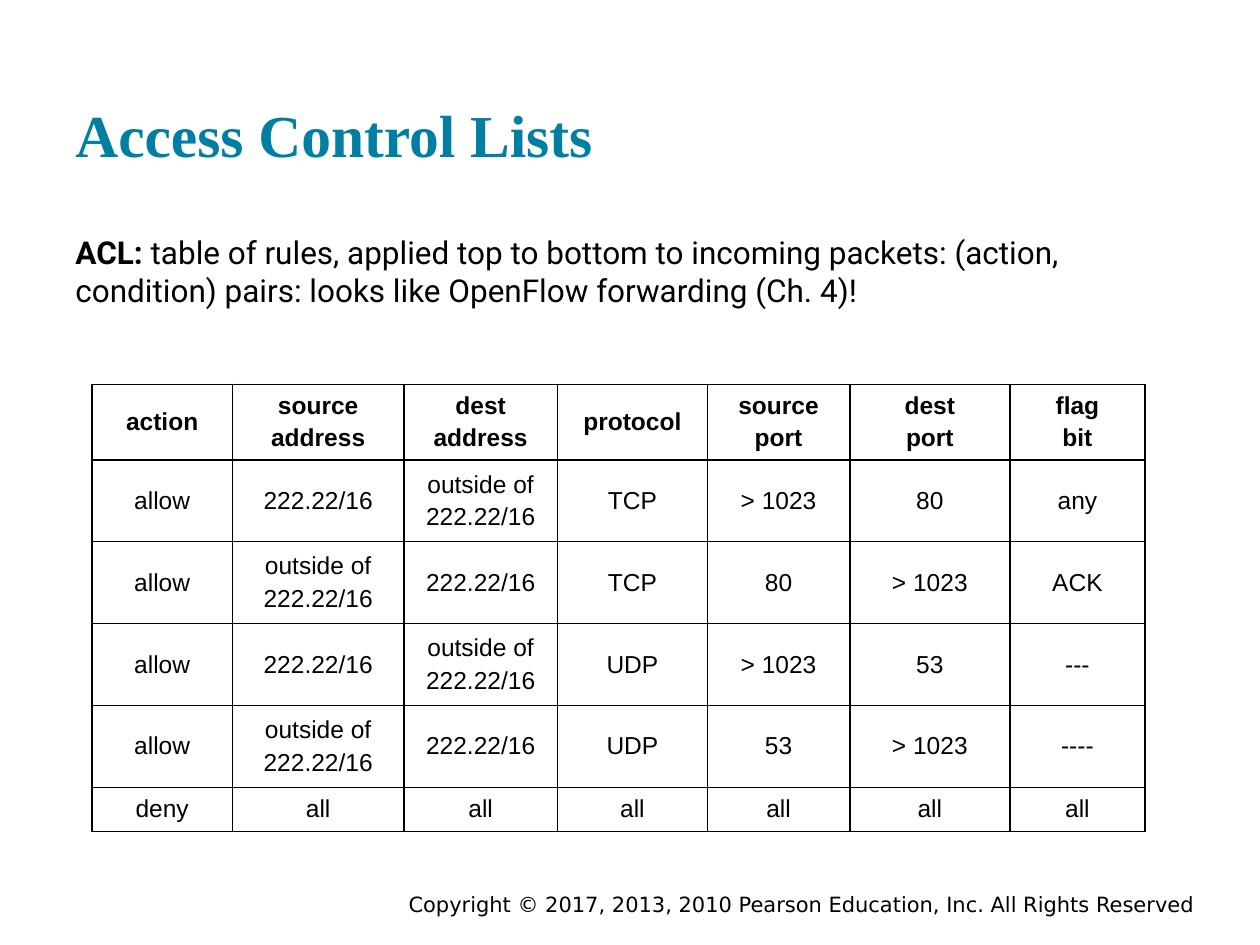
import pptx
import pptx.dml.color
import pptx.enum.text
import pptx.oxml
import pptx.oxml.ns
import pptx.util

Cm = pptx.util.Cm
Pt = pptx.util.Pt
ALIGN = pptx.enum.text.PP_ALIGN
ANCHOR = pptx.enum.text.MSO_ANCHOR

COLORS = {"title": "007FA3", "text": "000000", "line": "000000"}

WIDTHS = [2.84, 3.45, 3.1, 3.02, 2.87, 3.23, 2.72]
HEIGHTS = [1.52] + [1.65] * 4 + [0.89]
INSIDE = "222.22/16"
OUTSIDE = "outside of\n222.22/16"
RULES = [
    ["action", "source\naddress", "dest\naddress", "protocol",
     "source\nport", "dest\nport", "flag\nbit"],
    ["allow", INSIDE, OUTSIDE, "TCP", "> 1023", "80", "any"],
    ["allow", OUTSIDE, INSIDE, "TCP", "80", "> 1023", "ACK"],
    ["allow", INSIDE, OUTSIDE, "UDP", "> 1023", "53", "---"],
    ["allow", OUTSIDE, INSIDE, "UDP", "53", "> 1023", "----"],
    ["deny"] + ["all"] * 6,
]


def add_run(para, text, font, size, color="text", bold=False):
    run = para.add_run()
    run.text = text
    run.font.name = font
    run.font.size = Pt(size)
    run.font.bold = bold
    run.font.color.rgb = pptx.dml.color.RGBColor.from_string(COLORS[color])


def set_frame(shape, box, anchor, pad):
    """Place a text shape and return its first paragraph."""
    shape.left, shape.top, shape.width, shape.height = map(Cm, box)
    frame = shape.text_frame
    frame.word_wrap = True
    frame.auto_size = pptx.enum.text.MSO_AUTO_SIZE.NONE
    frame.vertical_anchor = anchor
    frame.margin_left = frame.margin_right = Cm(0.25)
    frame.margin_top = frame.margin_bottom = Cm(pad)
    para = frame.paragraphs[0]
    para.space_before = Pt(0)
    return para


def fill_title(slide):
    para = set_frame(slide.shapes.title, (1.27, 0.61, 22.86, 3.05),
                     ANCHOR.BOTTOM, 0.25)
    para.alignment = ALIGN.LEFT
    add_run(para, "Access Control Lists", "Times New Roman", 34, "title", True)


def fill_body(slide):
    para = set_frame(slide.placeholders[1], (1.27, 4.45, 22.86, 2.06),
                     ANCHOR.TOP, 0.25)
    # Plain paragraph: no bullet, no hanging indent
    props = para._p.get_or_add_pPr()
    props.set("marL", "0")
    props.set("indent", "0")
    props.append(pptx.oxml.parse_xml(
        f"<a:buNone {pptx.oxml.ns.nsdecls('a')}/>"))
    add_run(para, "ACL: ", "Roboto", 18, bold=True)
    add_run(para, "table of rules, applied top to bottom to incoming packets: "
            "(action, condition) pairs: looks like OpenFlow forwarding "
            "(Ch. 4)!", "Roboto", 18)


def add_lines(cell):
    props = cell._tc.get_or_add_tcPr()
    for side in ("lnL", "lnR", "lnT", "lnB"):
        props.append(pptx.oxml.parse_xml(
            f"<a:{side} {pptx.oxml.ns.nsdecls('a')} w='{Pt(1)}'><a:solidFill>"
            f"<a:srgbClr val='{COLORS['line']}'/></a:solidFill></a:{side}>"))


def fill_cell(cell, text, bold):
    add_lines(cell)
    cell.fill.background()
    cell.vertical_anchor = ANCHOR.MIDDLE
    frame = cell.text_frame
    for i, line in enumerate(text.split("\n")):
        para = frame.add_paragraph() if i else frame.paragraphs[0]
        para.alignment = ALIGN.CENTER
        para.space_before = Pt(2.8 if i else 0)
        add_run(para, line, "Arial", 14, bold=bold)


def add_rules(slide):
    table = slide.shapes.add_table(
        len(RULES), len(WIDTHS), Cm(1.85), Cm(7.75),
        Cm(sum(WIDTHS)), Cm(sum(HEIGHTS))).table
    table.horz_banding = False
    for col, width in zip(table.columns, WIDTHS):
        col.width = Cm(width)
    for r, (row, height) in enumerate(zip(table.rows, HEIGHTS)):
        row.height = Cm(height)
        for cell, text in zip(row.cells, RULES[r]):
            fill_cell(cell, text, r == 0)


def add_footer(slide):
    box = (7.42, 17.91, 16.92, 0.64)
    shape = slide.shapes.add_textbox(*map(Cm, box))
    para = set_frame(shape, box, ANCHOR.MIDDLE, 0)
    para.alignment = ALIGN.RIGHT
    add_run(para, "Copyright © 2017, 2013, 2010 Pearson Education, Inc. "
            "All Rights Reserved", "DejaVu Sans", 12)


def main():
    deck = pptx.Presentation()
    deck.slide_width, deck.slide_height = Cm(25.4), Cm(19.05)
    slide = deck.slides.add_slide(deck.slide_layouts[1])
    # Heading and definition
    fill_title(slide)
    fill_body(slide)
    # Rule table and copyright line
    add_rules(slide)
    add_footer(slide)
    deck.save("out.pptx")


if __name__ == "__main__":
    main()
